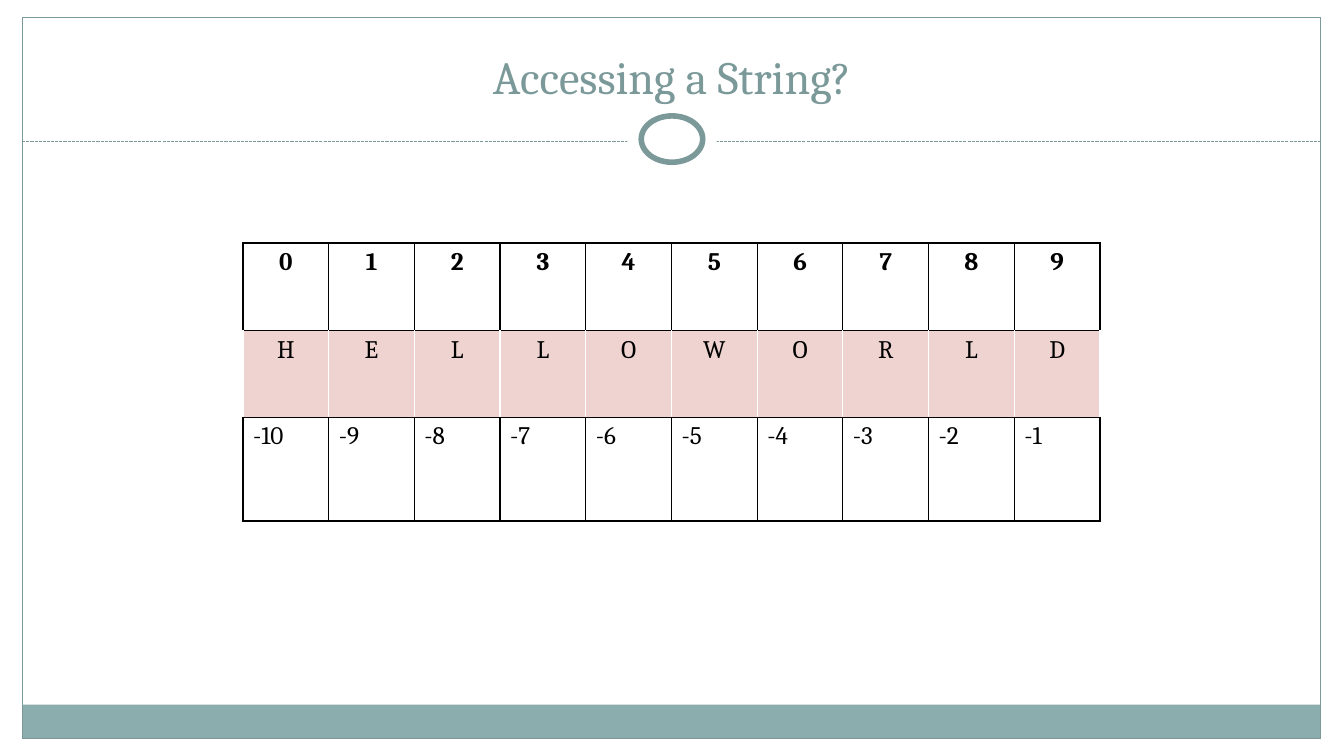
from lxml import etree
from pptx import Presentation
from pptx.dml.color import RGBColor
from pptx.enum import dml, shapes, text
from pptx.oxml import ns
from pptx.util import Inches, Pt

TITLE = "Accessing a String?"
WORD = "HELLOWORLD"
FONT = "Cambria"

WHITE = RGBColor(0xFF, 0xFF, 0xFF)
BLACK = RGBColor(0, 0, 0)
TEAL = RGBColor(0x7C, 0x99, 0x9A)
BAND_TEAL = RGBColor(0x8C, 0xAD, 0xAE)
PINK = RGBColor(0xEE, 0xD3, 0xD0)

SLIDE_WIDTH, SLIDE_HEIGHT = 13.33, 7.5
FRAME_LEFT, FRAME_WIDTH = 0.22, 12.88
RULE_TOP = 1.4
TABLE_LEFT, TABLE_TOP, COLUMN_WIDTH = 2.41, 2.41, 0.85

# Each row: texts, height, alignment, bold, fill, colour of the upright borders
ROWS = [
    ([str(i) for i in range(len(WORD))], 0.87, text.PP_ALIGN.CENTER, True, None, BLACK),
    (list(WORD), 0.86, text.PP_ALIGN.CENTER, False, PINK, WHITE),
    ([str(i) for i in range(-len(WORD), 0)], 1.03, text.PP_ALIGN.LEFT, False, None, BLACK),
]


def add_plain_shape(slide, kind, box, fill=None, line=None, line_width=0.75):
    """Add a shadowless preset shape with an optional fill and outline."""
    shape = slide.shapes.add_shape(kind, *map(Inches, box))
    shape.shadow.inherit = False
    if fill is None:
        shape.fill.background()
    else:
        shape.fill.solid()
        shape.fill.fore_color.rgb = fill
    if line is None:
        shape.line.fill.background()
    else:
        shape.line.color.rgb = line
        shape.line.width = Pt(line_width)


def add_dashed_rule(slide):
    """Add the dashed line below the title."""
    rule = slide.shapes.add_connector(
        shapes.MSO_CONNECTOR.STRAIGHT, Inches(FRAME_LEFT), Inches(RULE_TOP),
        Inches(FRAME_LEFT + FRAME_WIDTH), Inches(RULE_TOP))
    rule.line.color.rgb = TEAL
    rule.line.width = Pt(0.75)
    rule.line.dash_style = dml.MSO_LINE.SQUARE_DOT
    etree.SubElement(rule._element.spPr, ns.qn("a:effectLst"))


def write_text(paragraph, content, size, color, alignment, bold=False):
    """Write one formatted run into a paragraph."""
    paragraph.alignment = alignment
    run = paragraph.add_run()
    run.text = content
    run.font.name = FONT
    run.font.size = Pt(size)
    run.font.bold = bold
    run.font.color.rgb = color


def set_borders(cell, upright):
    """Give a cell black level borders and upright ones in the given colour."""
    properties = cell._tc.get_or_add_tcPr()
    for side, color in (("L", upright), ("R", upright), ("T", BLACK), ("B", BLACK)):
        line = etree.SubElement(properties, ns.qn(f"a:ln{side}"), w=str(Pt(1)))
        fill = etree.SubElement(line, ns.qn("a:solidFill"))
        etree.SubElement(fill, ns.qn("a:srgbClr"), val=str(color))


def add_index_table(slide):
    """Add the table of letters with their forward and backward indexes."""
    heights = [row[1] for row in ROWS]
    table = slide.shapes.add_table(
        len(ROWS), len(WORD), Inches(TABLE_LEFT), Inches(TABLE_TOP),
        Inches(COLUMN_WIDTH * len(WORD)), Inches(sum(heights))).table
    table.first_row = table.horz_banding = False
    for column in table.columns:
        column.width = Inches(COLUMN_WIDTH)
    for table_row, row in zip(table.rows, ROWS):
        texts, height, alignment, bold, fill, upright = row
        table_row.height = Inches(height)
        for cell, content in zip(table_row.cells, texts):
            write_text(cell.text_frame.paragraphs[0], content, 18, BLACK, alignment, bold)
            set_borders(cell, upright)
            if fill is None:
                cell.fill.background()
            else:
                cell.fill.solid()
                cell.fill.fore_color.rgb = fill


def format_title(slide):
    """Place and fill the title placeholder."""
    title = slide.shapes.title
    title.left, title.top, title.width, title.height = map(Inches, (2, 0.25, 9.33, 0.83))
    frame = title.text_frame
    frame.word_wrap = True
    frame.auto_size = text.MSO_AUTO_SIZE.NONE
    frame.vertical_anchor = text.MSO_ANCHOR.BOTTOM
    write_text(frame.paragraphs[0], TITLE, 33, TEAL, text.PP_ALIGN.CENTER)


presentation = Presentation()
presentation.slide_width = Inches(SLIDE_WIDTH)
presentation.slide_height = Inches(SLIDE_HEIGHT)
slide = presentation.slides.add_slide(presentation.slide_layouts[5])

RECTANGLE, OVAL = shapes.MSO_SHAPE.RECTANGLE, shapes.MSO_SHAPE.OVAL
add_plain_shape(slide, RECTANGLE, (FRAME_LEFT, 6.99, FRAME_WIDTH, 0.34), fill=BAND_TEAL)
add_plain_shape(slide, RECTANGLE, (FRAME_LEFT, 0.17, FRAME_WIDTH, 7.16), line=TEAL)
add_dashed_rule(slide)
add_plain_shape(slide, OVAL, (6.22, 1.05, 0.89, 0.67), fill=WHITE)
add_plain_shape(slide, OVAL, (6.36, 1.15, 0.61, 0.46), fill=WHITE, line=TEAL, line_width=4)
format_title(slide)
add_index_table(slide)

presentation.save("out.pptx")
